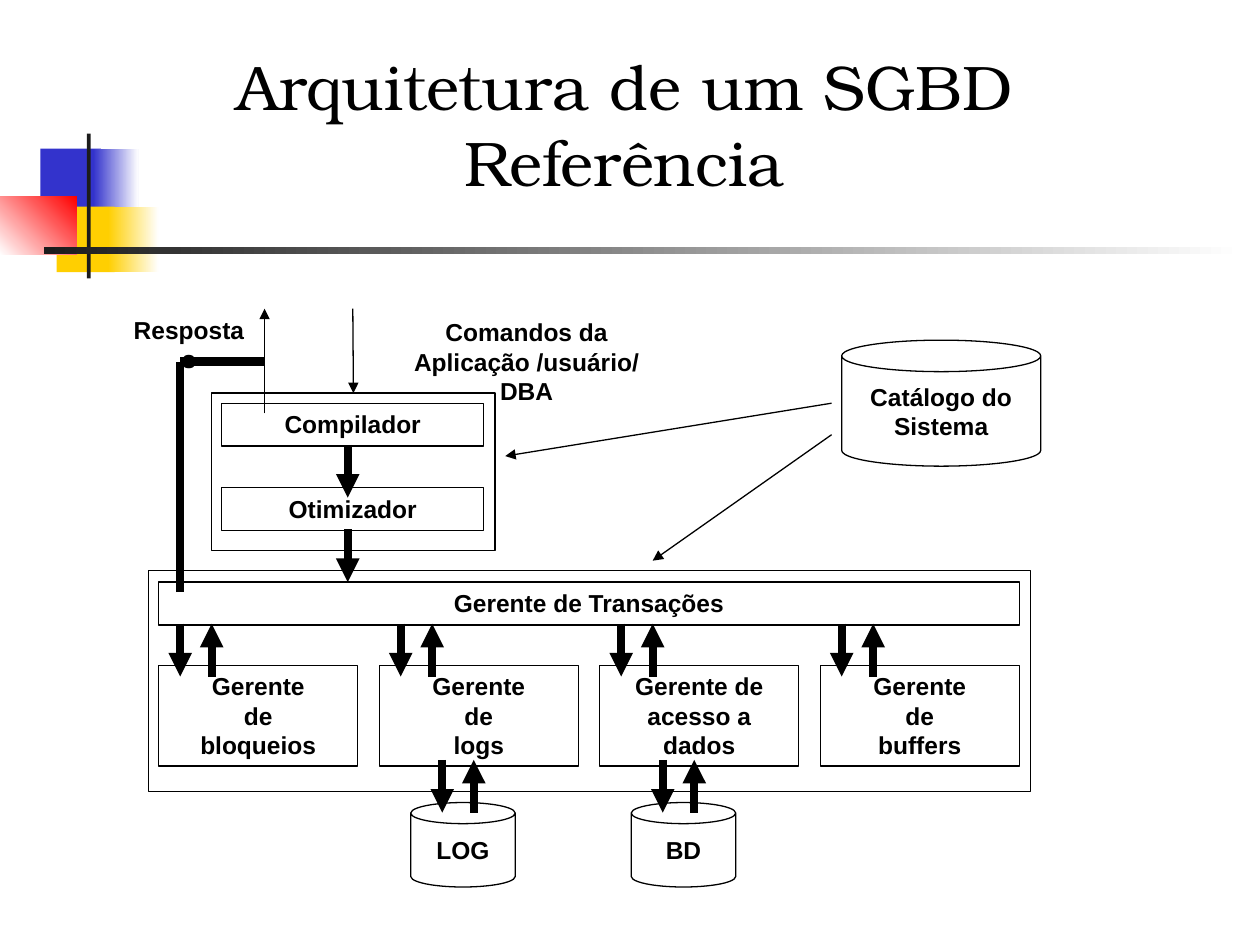
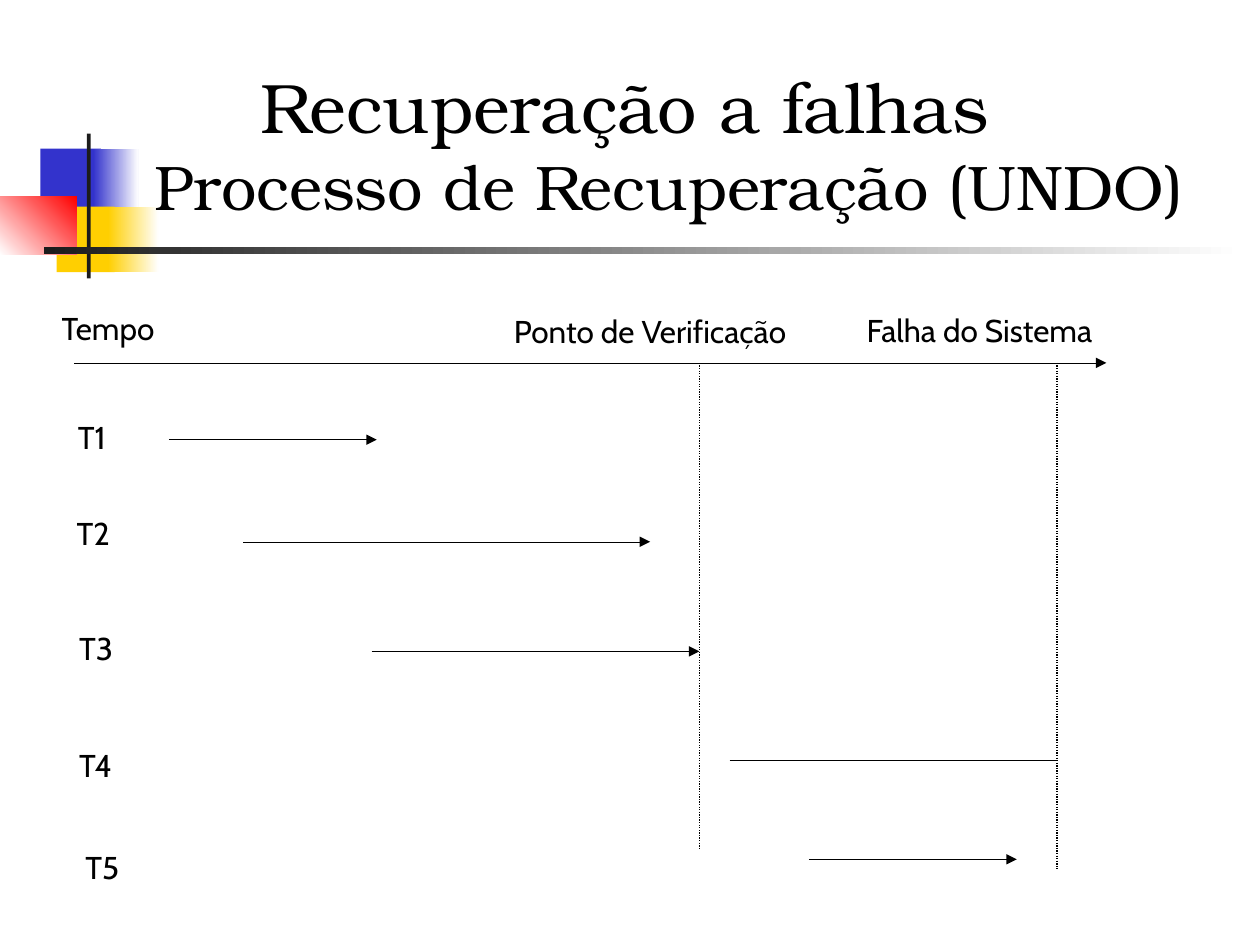
"""Build two database lecture slides: a DBMS architecture and an UNDO recovery timeline."""
from typing import NamedTuple

from pptx import Presentation
from pptx.dml.color import RGBColor
from pptx.enum.dml import MSO_LINE
from pptx.enum.shapes import MSO_CONNECTOR, MSO_SHAPE
from pptx.enum.text import MSO_ANCHOR, MSO_AUTO_SIZE as AutoSize, PP_ALIGN
from pptx.oxml.ns import qn
from pptx.shapes.autoshape import Shape
from pptx.shapes.connector import Connector
from pptx.slide import Slide, SlideLayout
from pptx.text.text import TextFrame
from pptx.util import Emu, Pt
from lxml.etree import SubElement

PX = 9144
BLACK, WHITE, CHARCOAL = "000000", "FFFFFF", "1C1C1C"
BLUE, YELLOW, RED = "3333CC", "FFCF01", "FF0000"
TITLE_FONT = "TeX Gyre Bonum"


class Area(NamedTuple):
    left: int
    top: int
    width: int
    height: int


class Band(NamedTuple):
    area: Area
    start: str
    end: str | None = None
    angle: int = 0


class TitleLine(NamedTuple):
    text: str
    size: int
    indent: int = 0


class TextStyle(NamedTuple):
    font: str
    size: float
    bold: bool
    align: PP_ALIGN
    before: float = 0


class Label(NamedTuple):
    area: Area
    text: str


class Transaction(NamedTuple):
    label: Label
    start: int
    end: int
    top: int
    arrow: bool = True


BANDS = [
    Band(Area(32, 118, 48, 52), BLUE),
    Band(Area(74, 118, 36, 52), BLUE, WHITE),
    Band(Area(45, 164, 46, 52), YELLOW),
    Band(Area(86, 164, 40, 52), YELLOW, WHITE),
    Band(Area(0, 156, 61, 46), WHITE, RED, 45),
    Band(Area(69, 106, 3, 115), CHARCOAL),
    Band(Area(35, 196, 951, 6), CHARCOAL, WHITE),
]
BOX_TEXT = TextStyle("Arial", 14, True, PP_ALIGN.CENTER, 8.8)
PLAIN_TEXT = TextStyle("Arial", 14, True, PP_ALIGN.CENTER)
TIME_TEXT = TextStyle("Cabin", 18, False, PP_ALIGN.LEFT, 4.5)

STAGES = [
    Label(Area(176, 320, 208, 34), "Compilador"),
    Label(Area(176, 387, 208, 34), "Otimizador"),
    Label(Area(126, 462, 683, 34), "Gerente de Transações"),
]
MANAGERS = ["Gerente\nde\nbloqueios", "Gerente\nde\nlogs",
            "Gerente de acesso a dados", "Gerente\nde\nbuffers"]
MANAGER_LEFT, MANAGER_STEP = 126, 175
STORES = ["LOG", "BD"]
STORE_LEFT = 326
CALLS = [
    Label(Area(295, 247, 246, 57), "Comandos da|Aplicação /usuário/ DBA"),
    Label(Area(91, 245, 118, 34), "Respostas"),
]

AXIS_TOP, CHECKPOINT, FAILURE = 288, 555, 839
TIME_LABELS = [
    Label(Area(39, 240, 102, 40), "Tempo"),
    Label(Area(398, 243, 260, 40), "Ponto de Verificação"),
    Label(Area(678, 242, 219, 40), "Falha do Sistema"),
]
TRANSACTIONS = [
    Transaction(Label(Area(52, 327, 48, 40), "T1"), 134, 299, 349),
    Transaction(Label(Area(51, 403, 48, 40), "T2"), 193, 516, 430),
    Transaction(Label(Area(53, 494, 48, 40), "T3"), 295, CHECKPOINT, 517),
    Transaction(Label(Area(53, 587, 48, 40), "T4"), 579, FAILURE, 603, False),
    Transaction(Label(Area(58, 668, 48, 40), "T5"), 642, 807, 682),
]


def px(length: int) -> Emu:
    """Turn px into EMU."""
    return Emu(length * PX)


def rgb(code: str) -> RGBColor:
    """Turn a hex string into a colour."""
    return RGBColor.from_string(code)


def add_bands(page: Slide, layout: SlideLayout) -> None:
    """Draw the shared bands and hand them over to the layout."""
    for number, band in enumerate(BANDS, 100):
        shape = page.shapes.add_shape(MSO_SHAPE.RECTANGLE, *map(px, band.area))
        shape.shadow.inherit = False
        shape.line.fill.background()
        if band.end:
            shape.fill.gradient()
            shape.fill.gradient_angle = band.angle
            for position, (stop, code) in enumerate(
                    zip(shape.fill.gradient_stops, (band.start, band.end))):
                stop.position = position
                stop.color.rgb = rgb(code)
        else:
            shape.fill.solid()
            shape.fill.fore_color.rgb = rgb(band.start)
        shape.element.nvSpPr.cNvPr.set("id", str(number))
        layout.shapes.element.append(shape.element)


def write(frame: TextFrame, text: str, style: TextStyle) -> None:
    """Write paragraphs split by bars, with line breaks kept inside each."""
    for index, block in enumerate(text.split("|")):
        para = frame.paragraphs[0] if index == 0 else frame.add_paragraph()
        para.alignment = style.align
        para.space_before = Pt(style.before)
        for row, line in enumerate(block.split("\n")):
            if row:
                para.add_line_break()
            span = para.add_run()
            span.text = line
            span.font.name = style.font
            span.font.size = Pt(style.size)
            span.font.bold = style.bold
            span.font.color.rgb = rgb(BLACK)


def set_title(page: Slide, area: Area, lines: list[TitleLine]) -> None:
    """Place and fill the title placeholder."""
    title = page.shapes.title
    title.left, title.top, title.width, title.height = map(px, area)
    frame = title.text_frame
    frame.auto_size = AutoSize.NONE
    frame.word_wrap = True
    frame.vertical_anchor = MSO_ANCHOR.BOTTOM
    for index, line in enumerate(lines):
        para = frame.paragraphs[0] if index == 0 else frame.add_paragraph()
        write_title_line(para, line)


def write_title_line(para, line: TitleLine) -> None:
    """Write one centred title paragraph, shifted by its indent."""
    para.alignment = PP_ALIGN.CENTER
    para.space_before = Pt(0)
    para._p.get_or_add_pPr().set("marL", str(px(line.indent)))
    for row, text in enumerate(line.text.split("\n")):
        if row:
            para.add_line_break()
        span = para.add_run()
        span.text = text
        span.font.name = TITLE_FONT
        span.font.size = Pt(line.size)
        span.font.color.rgb = rgb(BLACK)


def add_outline(page: Slide, kind: MSO_SHAPE, area: Area) -> Shape:
    """Add an unfilled shape with a thin black line."""
    shape = page.shapes.add_shape(kind, *map(px, area))
    shape.shadow.inherit = False
    shape.fill.background()
    shape.line.color.rgb = rgb(BLACK)
    shape.line.width = Pt(0.75)
    return shape


def add_box(page: Slide, label: Label) -> None:
    """Add a rectangle with text from its top."""
    frame = add_outline(page, MSO_SHAPE.RECTANGLE, label.area).text_frame
    frame.word_wrap = True
    frame.vertical_anchor = MSO_ANCHOR.TOP
    write(frame, label.text, BOX_TEXT)


def add_store(page: Slide, label: Label) -> None:
    """Add a data store drawn as a cylinder."""
    frame = add_outline(page, MSO_SHAPE.CAN, label.area).text_frame
    frame.word_wrap = False
    frame.vertical_anchor = MSO_ANCHOR.MIDDLE
    write(frame, label.text, PLAIN_TEXT)


def add_label(page: Slide, label: Label, style: TextStyle) -> None:
    """Add a text box that does not wrap."""
    frame = page.shapes.add_textbox(*map(px, label.area)).text_frame
    frame.word_wrap = False
    write(frame, label.text, style)


def add_line(page: Slide, start: tuple[int, int], end: tuple[int, int],
             width: float = 0.75, arrow: bool = True, dotted: bool = False) -> Connector:
    """Add a straight black line, with an arrowhead at its end if asked."""
    line = page.shapes.add_connector(MSO_CONNECTOR.STRAIGHT, *map(px, start + end))
    line.line.color.rgb = rgb(BLACK)
    line.line.width = Pt(width)
    if dotted:
        line.line.dash_style = MSO_LINE.ROUND_DOT
    if arrow:
        SubElement(line.line._ln, qn("a:tailEnd"), type="triangle")
    SubElement(line.element.spPr, qn("a:effectLst"))
    return line


def add_exchange(page: Slide, left: int, top: int) -> None:
    """Add a thick arrow down and, beside it, one up."""
    bottom = top + 42
    add_line(page, (left, top), (left, bottom), 4.5)
    add_line(page, (left + 25, bottom), (left + 25, top), 4.5)


def build_architecture(page: Slide) -> None:
    """Draw the reference architecture."""
    set_title(page, Area(27, 21, 937, 142),
              [TitleLine("Arquitetura de um SGBD\nReferência", 36)])
    add_store(page, Label(Area(668, 270, 158, 100), "Catálogo do|Sistema"))
    for stage in STAGES:
        add_box(page, stage)
    compiler_group = add_outline(page, MSO_SHAPE.RECTANGLE, Area(168, 312, 225, 125))
    add_outline(page, MSO_SHAPE.RECTANGLE, Area(118, 453, 700, 175))
    for top in (353, 420):
        add_line(page, (276, top), (276, top + 42), 4.5)
    command = add_line(page, (280, 245), (280, 312))
    command.end_connect(compiler_group, 0)
    add_line(page, (210, 328), (210, 245))
    for call in CALLS:
        add_label(page, call, PLAIN_TEXT)
    for column, name in enumerate(MANAGERS):
        left = MANAGER_LEFT + column * MANAGER_STEP
        add_box(page, Label(Area(left, 528, 158, 80), name))
        add_exchange(page, left + 17, 495)
    for column, name in enumerate(STORES):
        left = STORE_LEFT + column * MANAGER_STEP
        add_store(page, Label(Area(left, 637, 83, 67), name))
        add_exchange(page, left + 25, 603)
    add_line(page, (143, 470), (143, 287), 4.5, arrow=False)
    add_line(page, (143, 287), (210, 287), 5, arrow=False)
    add_line(page, (660, 320), (401, 362))
    add_line(page, (660, 345), (518, 445))


def build_recovery(page: Slide) -> None:
    """Draw the recovery timeline."""
    set_title(page, Area(27, 22, 937, 160),
              [TitleLine("Recuperação a falhas", 40),
               TitleLine("Processo de Recuperação (UNDO)", 36, 71)])
    for label in TIME_LABELS:
        add_label(page, label, TIME_TEXT)
    add_line(page, (59, AXIS_TOP), (878, AXIS_TOP), 0.25)
    for left, bottom in ((CHECKPOINT, 674), (FAILURE, 690)):
        add_line(page, (left, AXIS_TOP), (left, bottom), arrow=False, dotted=True)
    for item in TRANSACTIONS:
        add_label(page, item.label, TIME_TEXT)
        add_line(page, (item.start, item.top), (item.end, item.top), 0.25, item.arrow)


def main() -> None:
    """Build and save the deck."""
    deck = Presentation()
    deck.slide_width, deck.slide_height = px(1000), px(750)
    layout = deck.slide_layouts[5]
    architecture, recovery = (deck.slides.add_slide(layout) for _ in range(2))
    add_bands(architecture, layout)
    build_architecture(architecture)
    build_recovery(recovery)
    deck.save("out.pptx")


if __name__ == "__main__":
    main()
